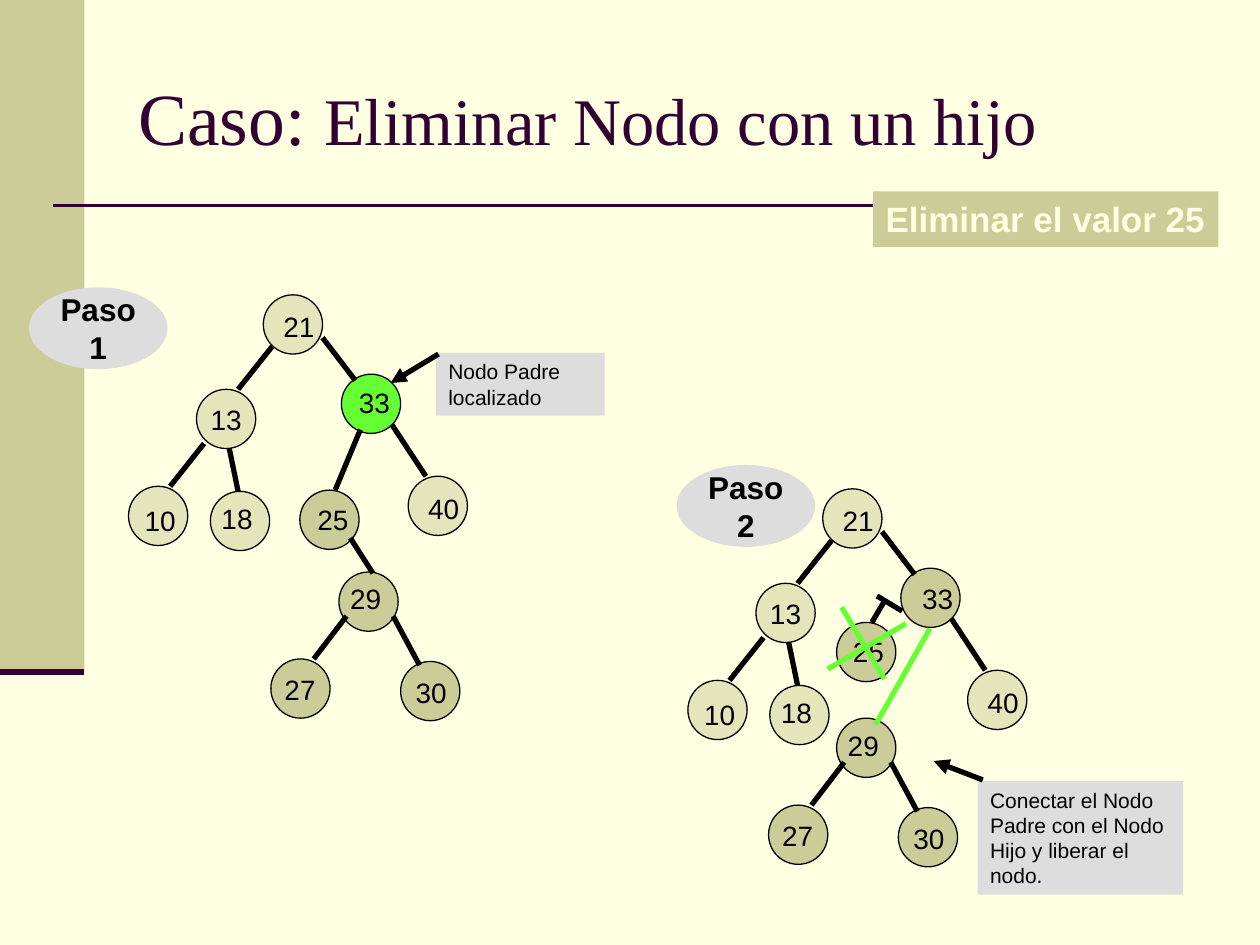
from dataclasses import dataclass, replace

from lxml.etree import SubElement
from pptx import Presentation
from pptx.dml.color import RGBColor
from pptx.enum.shapes import MSO_CONNECTOR as Connector, MSO_SHAPE as Shape
from pptx.enum.text import MSO_ANCHOR as Anchor, PP_ALIGN as Align
from pptx.oxml.ns import qn
from pptx.util import Emu, Pt

PX = 9144  # 100 px to the inch
NODE_SIZE = 47


@dataclass(frozen=True)
class Theme:
    paper: str = "FFFFE1"
    khaki: str = "CCCC99"
    plum: str = "330033"
    ink: str = "000000"
    grey: str = "DDDDDD"
    green: str = "66FF33"
    serif: str = "Times New Roman"
    sans: str = "Arial"
    title: int = 42
    subtitle: int = 38
    tag: int = 20
    step: int = 18
    value: int = 16
    note: int = 12
    edge: float = 3
    outline: float = 0.75


THEME = Theme()


@dataclass(frozen=True)
class Node:
    value: str
    x: int
    y: int
    label: tuple | None = None  # label dx, dy and width; None centres it in the node
    fill: str = THEME.khaki
    pale: bool = False


# Nodes and edges shared by both steps, at their place in step 1
BASE_NODES = [
    Node("21", 209, 234, (6, 7, 47), pale=True),
    Node("13", 156, 309, pale=True),
    Node("10", 102, 386, (3, 9, 54), pale=True),
    Node("18", 167, 390, (-1, 3, 54), pale=True),
    Node("40", 324, 378, (6, 7, 47), pale=True),
]
BASE_EDGES = [
    (216, 275, 189, 309),
    (162, 352, 135, 386),
    (256, 268, 282, 302),
    (311, 337, 338, 378),
    (182, 356, 189, 390),
]
PARENT = Node("33", 271, 297, (4, 4, 60), fill=THEME.green)
REMOVED = Node("25", 238, 389, (4, 5, 54))

# Subtree that hangs from the removed node
CHILD_NODES = [
    Node("29", 269, 454, (-1, 3, 54)),
    Node("27", 215, 523, (1, 6, 54)),
    Node("30", 318, 525, (2, 6, 54)),
]
CHILD_EDGES = [(275, 489, 249, 523), (312, 489, 333, 528)]

STEP2_SHIFT = (444, 154)
CHILD_SHIFT = (395, 116)


def px(*lengths):
    return [Emu(length * PX) for length in lengths]


def rgb(colour):
    return RGBColor.from_string(colour)


def add_run(paragraph, text, size, colour=THEME.ink, font=THEME.sans, bold=False):
    run = paragraph.add_run()
    run.text = text
    run.font.size = Pt(size)
    run.font.name = font
    run.font.bold = bold
    run.font.color.rgb = rgb(colour)


def add_text(slide, box, runs, anchor=Anchor.TOP):
    frame = slide.shapes.add_textbox(*px(*box)).text_frame
    frame.word_wrap = True
    frame.vertical_anchor = anchor
    for run in runs:
        add_run(frame.paragraphs[0], **run)


def add_block(slide, kind, box, fill, lines=(), wrap=False,
              align=Align.CENTER, anchor=Anchor.MIDDLE, **style):
    """Filled shape without outline, one paragraph for each line."""
    block = slide.shapes.add_shape(kind, *px(*box))
    block.shadow.inherit = False
    block.fill.solid()
    block.fill.fore_color.rgb = rgb(fill)
    block.line.fill.background()
    frame = block.text_frame
    frame.word_wrap = wrap
    frame.vertical_anchor = anchor
    for index, line in enumerate(lines):
        paragraph = frame.add_paragraph() if index else frame.paragraphs[0]
        paragraph.alignment = align
        add_run(paragraph, line, **style)
    return block


def add_line(slide, ends, colour=THEME.ink, width=THEME.edge, arrow=False):
    line = slide.shapes.add_connector(Connector.STRAIGHT, *px(*ends))
    line.line.color.rgb = rgb(colour)
    line.line.width = Pt(width)
    if arrow:
        SubElement(line.line._get_or_add_ln(), qn("a:tailEnd"), type="triangle")
    SubElement(line._element.spPr, qn("a:effectLst"))


def add_node(slide, node):
    lines = [] if node.label else [node.value]
    circle = add_block(slide, Shape.OVAL, (node.x, node.y, NODE_SIZE, NODE_SIZE),
                       node.fill, lines, size=THEME.value)
    circle.line.color.rgb = rgb(THEME.ink)
    circle.line.width = Pt(THEME.outline)
    if node.pale:
        tint = circle._element.spPr.find(qn("a:solidFill"))[0]
        SubElement(tint, qn("a:alpha"), val="50000")


def add_tree(slide, nodes, edges):
    """Circles first, then edges, then the values on top."""
    for node in nodes:
        add_node(slide, node)
    for edge in edges:
        add_line(slide, edge)
    for node in nodes:
        if node.label:
            dx, dy, width = node.label
            add_text(slide, (node.x + dx, node.y + dy, width, 37),
                     [dict(text=node.value, size=THEME.value)])


def shifted(nodes, edges, shift):
    dx, dy = shift
    return ([replace(node, x=node.x + dx, y=node.y + dy) for node in nodes],
            [(x1 + dx, y1 + dy, x2 + dx, y2 + dy) for x1, y1, x2, y2 in edges])


def add_step(slide, number, x, y):
    add_block(slide, Shape.OVAL, (x, y, 110, 65), THEME.grey,
              ["Paso", number], size=THEME.step, bold=True)


def add_note(slide, box, text, arrow):
    add_block(slide, Shape.RECTANGLE, box, THEME.grey, [text], wrap=True,
              align=Align.LEFT, anchor=Anchor.TOP, size=THEME.note)
    add_line(slide, arrow, arrow=True)


def add_frame(slide):
    # Side band, rules, title and tag
    add_block(slide, Shape.RECTANGLE, (0, 0, 67, 533), THEME.khaki)
    add_line(slide, (42, 163, 950, 163), THEME.plum, 1.5)
    add_line(slide, (0, 533, 67, 533), THEME.plum, 3.5)
    heading = dict(colour=THEME.plum, font=THEME.serif)
    add_text(slide, (100, 30, 850, 125), [
        dict(text="Caso: ", size=THEME.title, **heading),
        dict(text="Eliminar Nodo con un hijo", size=THEME.subtitle, **heading),
    ], Anchor.MIDDLE)
    add_block(slide, Shape.RECTANGLE, (693, 152, 274, 44), THEME.khaki,
              ["Eliminar el valor 25"], align=Align.LEFT, anchor=Anchor.TOP,
              size=THEME.tag, colour=THEME.paper, bold=True)


def add_step_one(slide):
    add_step(slide, "1", 23, 228)
    add_tree(slide, BASE_NODES + [PARENT, REMOVED],
             BASE_EDGES + [(286, 341, 266, 389)])
    add_tree(slide, CHILD_NODES, CHILD_EDGES + [(278, 427, 296, 455)])
    add_note(slide, (346, 280, 134, 50), "Nodo Padre localizado", (348, 281, 310, 304))


def add_step_two(slide):
    add_step(slide, "2", 537, 369)
    parent = replace(PARENT, label=(7, 6, 60), fill=THEME.khaki)
    nodes, edges = shifted(BASE_NODES + [parent], BASE_EDGES, STEP2_SHIFT)
    removed = replace(REMOVED, x=664, y=494, label=(3, 5, 54))
    add_tree(slide, nodes + [removed], edges + [(702, 477, 692, 494)])
    # Cut link, crossed-out node and the new link to the child
    add_line(slide, (696, 473, 716, 485))
    add_line(slide, (668, 482, 702, 539), THEME.green)
    add_line(slide, (657, 531, 719, 495), THEME.green)
    add_tree(slide, *shifted(CHILD_NODES, CHILD_EDGES, CHILD_SHIFT))
    add_line(slide, (738, 499, 695, 575), THEME.green)
    add_note(slide, (776, 620, 163, 90),
             "Conectar el Nodo Padre con el Nodo Hijo y liberar el nodo.",
             (780, 619, 741, 604))


def main():
    deck = Presentation()
    deck.slide_width, deck.slide_height = px(1000, 750)
    slide = deck.slides.add_slide(deck.slide_layouts[6])
    slide.background.fill.solid()
    slide.background.fill.fore_color.rgb = rgb(THEME.paper)
    add_frame(slide)
    add_step_one(slide)
    add_step_two(slide)
    deck.save("out.pptx")


if __name__ == "__main__":
    main()
